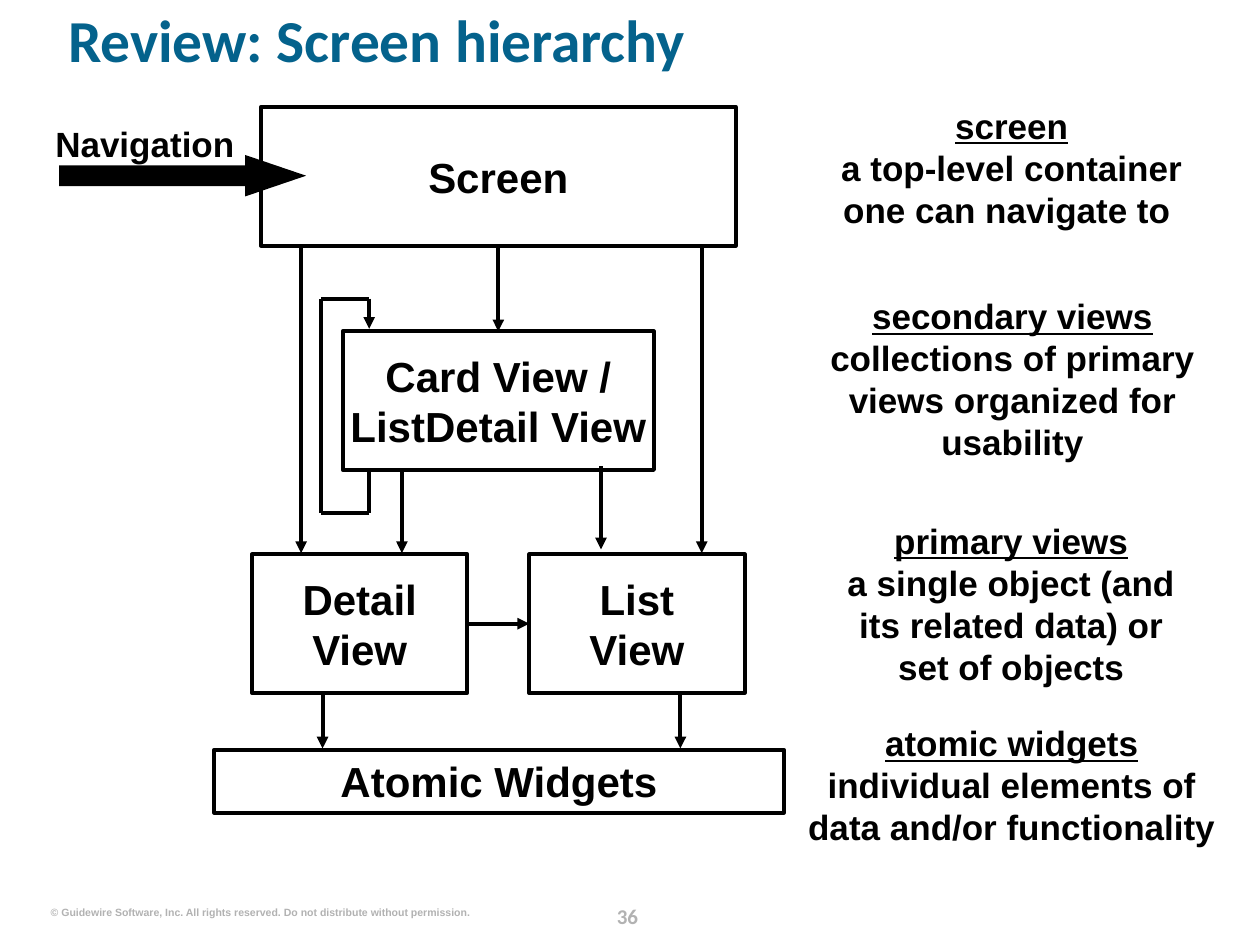
import itertools
from dataclasses import dataclass

import pptx
import pptx.dml.color
import pptx.enum.shapes
import pptx.enum.text
import pptx.oxml
import pptx.oxml.ns
import pptx.util

Inches = pptx.util.Inches
Pt = pptx.util.Pt
ALIGN = pptx.enum.text.PP_ALIGN
ANCHOR = pptx.enum.text.MSO_ANCHOR
SHAPE = pptx.enum.shapes.MSO_SHAPE

COLORS = {"title": "04628C", "ink": "000000", "footer": "B2B2B2"}


@dataclass
class Style:
    size: float
    color: str = "ink"
    font: str = "Arial"
    align: ALIGN = ALIGN.CENTER
    anchor: ANCHOR = ANCHOR.TOP
    wrap: bool = True


@dataclass
class Area:
    left: float
    top: float
    width: float
    height: float

    def lengths(self) -> tuple:
        return tuple(Inches(value) for value in (self.left, self.top, self.width, self.height))


@dataclass
class Container:
    text: str
    area: Area


@dataclass
class Definition:
    term: str
    meaning: str
    area: Area


@dataclass
class Arrow:
    x: float
    top: float
    bottom: float


BOX_STYLE = Style(24, anchor=ANCHOR.MIDDLE)
LABEL_STYLE = Style(20)
TITLE_STYLE = Style(34, "title", "Calibri", ALIGN.LEFT)
NUMBER_STYLE = Style(12, "footer", "Calibri", anchor=ANCHOR.MIDDLE)
COPYRIGHT_STYLE = Style(6, "footer", align=ALIGN.RIGHT, wrap=False)

CONTAINERS = {
    "screen": Container("Screen", Area(2.07, 0.85, 3.77, 1.1)),
    "card": Container("Card View / ListDetail View", Area(2.72, 2.63, 2.47, 1.1)),
    "detail": Container("Detail\vView", Area(2, 4.4, 1.71, 1.1)),
    "list": Container("List\vView", Area(4.2, 4.4, 1.71, 1.1)),
    "widgets": Container("Atomic Widgets", Area(1.7, 5.95, 4.52, 0.5)),
}

DEFINITIONS = [
    Definition("screen", "a top-level container\vone can navigate to ", Area(6.35, 0.83, 3.36, 1)),
    Definition("secondary views", "collections of primary views organized for usability",
               Area(6.44, 2.34, 3.19, 1.33)),
    Definition("primary views", "a single object (and its related data) or set of objects",
               Area(6.63, 4.12, 2.79, 1.33)),
    Definition("atomic widgets", "individual elements of data and/or functionality",
               Area(6.41, 5.73, 3.24, 1)),
]

DOWN_ARROWS = [
    Arrow(2.39, 1.95, 4.39),
    Arrow(5.57, 1.95, 4.39),
    Arrow(3.19, 3.73, 4.39),
    Arrow(4.77, 3.7, 4.36),
    Arrow(2.56, 5.52, 5.94),
    Arrow(5.4, 5.52, 5.94),
]

CARD_LOOP = [(2.93, 3.73), (2.93, 4.07), (2.55, 4.07), (2.55, 2.37), (2.93, 2.37), (2.93, 2.61)]


def color(name: str) -> pptx.dml.color.RGBColor:
    return pptx.dml.color.RGBColor.from_string(COLORS[name])


def write(shape, text: str, style: Style):
    frame = shape.text_frame
    frame.margin_left = frame.margin_top = frame.margin_right = frame.margin_bottom = 0
    frame.word_wrap = style.wrap
    frame.auto_size = pptx.enum.text.MSO_AUTO_SIZE.NONE
    frame.vertical_anchor = style.anchor
    para = frame.paragraphs[0]
    para.text = text
    para.alignment = style.align
    for span in para.runs:
        span.font.name = style.font
        span.font.size = Pt(style.size)
        span.font.bold = True
        span.font.color.rgb = color(style.color)
    return para


def add_label(page, text: str, area: Area, style: Style):
    return write(page.shapes.add_textbox(*area.lengths()), text, style)


def add_container(page, container: Container):
    box = page.shapes.add_shape(SHAPE.RECTANGLE, *container.area.lengths())
    box.shadow.inherit = False
    box.fill.background()
    box.line.color.rgb = color("ink")
    box.line.width = Pt(2.25)
    write(box, container.text, BOX_STYLE)
    return box


def add_line(page, start: tuple, end: tuple, arrow: bool = True):
    line = page.shapes.add_connector(
        pptx.enum.shapes.MSO_CONNECTOR.STRAIGHT, *(Inches(value) for value in start + end))
    line.line.color.rgb = color("ink")
    line.line.width = Pt(2.25)
    properties = line._element.spPr
    if arrow:
        head = pptx.oxml.parse_xml(f'<a:tailEnd {pptx.oxml.ns.nsdecls("a")} type="triangle"/>')
        properties.find(pptx.oxml.ns.qn("a:ln")).append(head)
    properties.append(pptx.oxml.parse_xml(f'<a:effectLst {pptx.oxml.ns.nsdecls("a")}/>'))
    return line


def join(page, source, source_side: int, target, target_side: int) -> None:
    line = add_line(page, (0, 0), (1, 1))
    line.begin_connect(source, source_side)
    line.end_connect(target, target_side)


def add_definition(page, definition: Definition) -> None:
    para = add_label(page, f"{definition.term}\v{definition.meaning}", definition.area, LABEL_STYLE)
    para.runs[0].font.underline = True


def add_navigation(page) -> None:
    arrow = page.shapes.add_shape(SHAPE.RIGHT_ARROW, *Area(0.47, 1.23, 1.96, 0.33).lengths())
    arrow.adjustments[0] = 0.5
    arrow.adjustments[1] = 1.47
    arrow.shadow.inherit = False
    arrow.fill.solid()
    arrow.fill.fore_color.rgb = color("ink")
    arrow.line.fill.background()
    add_label(page, "Navigation", Area(0.36, 0.97, 1.58, 0.33), LABEL_STYLE)


def main() -> None:
    deck = pptx.Presentation()
    deck.slide_width, deck.slide_height = Inches(10), Inches(7.5)
    page = deck.slides.add_slide(deck.slide_layouts[5])

    title = page.shapes.title
    title.left, title.top, title.width, title.height = Area(0.54, 0.13, 9.1, 0.81).lengths()
    write(title, "Review: Screen hierarchy", TITLE_STYLE).line_spacing = 0.8

    boxes = {name: add_container(page, container) for name, container in CONTAINERS.items()}
    join(page, boxes["screen"], 2, boxes["card"], 0)
    join(page, boxes["detail"], 3, boxes["list"], 1)
    for arrow in DOWN_ARROWS:
        add_line(page, (arrow.x, arrow.top), (arrow.x, arrow.bottom))
    for start, end in itertools.pairwise(CARD_LOOP):
        add_line(page, start, end, arrow=end == CARD_LOOP[-1])

    for definition in DEFINITIONS:
        add_definition(page, definition)
    add_navigation(page)

    add_label(page, "36", Area(4.73, 7.13, 0.5, 0.28), NUMBER_STYLE)
    add_label(
        page,
        "© Guidewire Software, Inc. All rights reserved. Do not distribute without permission.",
        Area(0.4, 7.19, 3.33, 0.1), COPYRIGHT_STYLE)
    deck.save("out.pptx")


if __name__ == "__main__":
    main()
